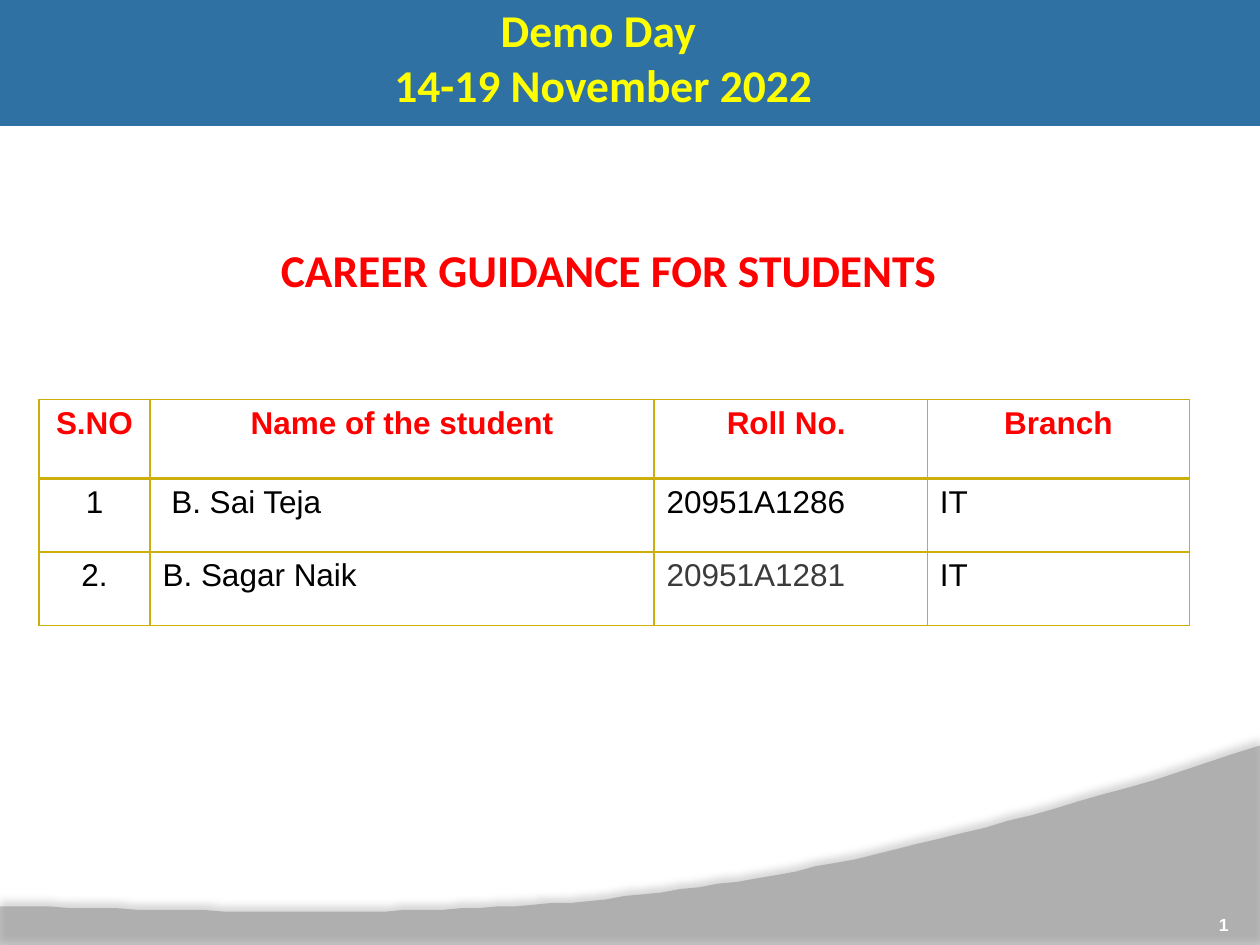
from dataclasses import dataclass

import pptx
import pptx.dml.color
import pptx.enum.shapes
import pptx.enum.text
import pptx.oxml
import pptx.oxml.ns
import pptx.util

Pt = pptx.util.Pt
Align = pptx.enum.text.PP_ALIGN
Anchor = pptx.enum.text.MSO_ANCHOR
NS = pptx.oxml.ns.nsdecls("a")
GOLD = "CCAF0A"
WIDE, HIGH = 720, 540


@dataclass
class Style:
    font: str
    size: float
    color: str
    bold: bool = False


@dataclass
class Label:
    lines: list[str]
    box: tuple[float, float, float, float]
    style: Style
    align: Align = Align.CENTER
    anchor: Anchor = Anchor.TOP
    inset: tuple[float, float] = (7.2, 3.6)
    wrap: bool = True


@dataclass
class Cell:
    text: str
    style: Style
    align: Align = Align.LEFT


def rgb(color: str) -> pptx.dml.color.RGBColor:
    return pptx.dml.color.RGBColor.from_string(color)


def paint(fill, color: str) -> None:
    fill.solid()
    fill.fore_color.rgb = rgb(color)


def fade(node, share: int) -> None:
    """Give the node's own solid fill an opacity in percent."""
    tone = node.find(pptx.oxml.ns.qn("a:solidFill"))[0]
    tone.append(pptx.oxml.parse_xml(f'<a:alpha {NS} val="{share * 1000}"/>'))


def write(para, text: str, style: Style, align: Align) -> None:
    para.alignment = align
    run = para.add_run()
    run.text = text
    run.font.name = style.font
    run.font.size = Pt(style.size)
    run.font.bold = style.bold
    run.font.color.rgb = rgb(style.color)


def draw_label(slide, label: Label) -> None:
    frame = slide.shapes.add_textbox(*map(Pt, label.box)).text_frame
    frame.word_wrap = label.wrap
    frame.vertical_anchor = label.anchor
    side, edge = map(Pt, label.inset)
    frame.margin_left = frame.margin_right = side
    frame.margin_top = frame.margin_bottom = edge
    for i, line in enumerate(label.lines):
        para = frame.add_paragraph() if i else frame.paragraphs[0]
        write(para, line, label.style, label.align)


def curve(ends: list[tuple[float, float]], steps: int = 60) -> list[tuple[float, float]]:
    """Points along a cubic Bezier with four control points."""
    spots = []
    for i in range(steps + 1):
        t = i / steps
        parts = ((1 - t) ** 3, 3 * t * (1 - t) ** 2, 3 * t * t * (1 - t), t ** 3)
        spots.append(tuple(sum(p * e[k] for p, e in zip(parts, ends)) for k in (0, 1)))
    return spots


def draw_wave(slide) -> None:
    base = 540.7
    top = curve([(WIDE, 426.2), (402.5, 529.9), (281.5, 524.9), (0, 517.7)])
    pen = slide.shapes.build_freeform(0, base, scale=Pt(1))
    pen.add_line_segments([(WIDE, base), *top], close=True)
    wave = pen.convert_to_shape()
    wave.line.fill.background()
    paint(wave.fill, "7F7F7F")
    props = wave.element.spPr
    fade(props, 45)
    wave.shadow.inherit = False
    glow = props.find(pptx.oxml.ns.qn("a:effectLst"))
    glow.append(pptx.oxml.parse_xml(
        f'<a:outerShdw {NS} blurRad="{Pt(4)}" dist="{Pt(3.5)}" dir="16200000" '
        'algn="b" rotWithShape="0"><a:srgbClr val="000000">'
        '<a:alpha val="35000"/></a:srgbClr></a:outerShdw>'))


def draw_band(slide) -> None:
    kind = pptx.enum.shapes.MSO_SHAPE.RECTANGLE
    band = slide.shapes.add_shape(kind, 0, 0, Pt(WIDE), Pt(72))
    band.shadow.inherit = False
    band.line.fill.background()
    paint(band.fill, "2F71A2")


def edge(cell, sides: dict[str, float]) -> None:
    """Rule the cell's sides with lines of the given widths."""
    props = cell._tc.get_or_add_tcPr()
    for side, width in sides.items():
        props.append(pptx.oxml.parse_xml(
            f'<a:ln{side} {NS} w="{Pt(width)}"><a:solidFill>'
            f'<a:srgbClr val="{GOLD}"/></a:solidFill></a:ln{side}>'))


def draw_table(slide, rows: list[list[Cell]], wides: list[float], highs: list[float]) -> None:
    size = (22.3, 228.2, sum(wides), sum(highs))
    table = slide.shapes.add_table(len(rows), len(wides), *map(Pt, size)).table
    table.first_row = table.horz_banding = False
    for col, wide in zip(table.columns, wides):
        col.width = Pt(wide)
    for r, (row, high) in enumerate(zip(rows, highs)):
        table.rows[r].height = Pt(high)
        for c, item in enumerate(row):
            cell = table.cell(r, c)
            write(cell.text_frame.paragraphs[0], item.text, item.style, item.align)
            edge(cell, {"L": 1, "R": 1, "T": 2 if r == 1 else 1, "B": 1 if r else 2})
            if r == 0:
                cell.fill.background()
                continue
            paint(cell.fill, "FFFFFF")
            if r == 1:
                fade(cell._tc.tcPr, 20)


def main() -> None:
    deck = pptx.Presentation()
    deck.slide_width, deck.slide_height = Pt(WIDE), Pt(HIGH)
    slide = deck.slides.add_slide(deck.slide_layouts[6])
    paint(slide.background.fill, "FFFFFF")
    draw_wave(slide)
    draw_band(slide)

    labels = [
        Label(["1"], (642.2, 505.4, 59.8, 28.8), Style("Arial", 10, "FFFFFF", True),
              Align.RIGHT, Anchor.BOTTOM, (0, 0)),
        Label(["Demo Day ", "14-19 November 2022"], (18, -2.2, 653.8, 104.4),
              Style("Calibri", 26, "FFFF00", True)),
        Label(["CAREER GUIDANCE FOR STUDENTS "], (151.9, 134.6, 398.2, 38.9),
              Style("Calibri", 26, "FF0000", True), wrap=False),
    ]
    for label in labels:
        draw_label(slide, label)

    head = Style("Arial", 18, "FF0000", True)
    body = Style("Arial", 18, "000000")
    gray = Style("Arial", 18, "3B3B3B")
    titles = ["S.NO", "Name of the student", "Roll No. ", "Branch"]
    people = [
        ("1", " B. Sai Teja", "20951A1286", body),
        ("2.", "B. Sagar Naik", "20951A1281", gray),
    ]
    rows = [[Cell(text, head, Align.CENTER) for text in titles]]
    for num, name, roll, tone in people:
        rows.append([Cell(num, body, Align.CENTER), Cell(name, body),
                     Cell(roll, tone), Cell("IT", body)])
    draw_table(slide, rows, [63.4, 288, 156.2, 149.8], [45.2, 42, 42])
    deck.save("out.pptx")


if __name__ == "__main__":
    main()
